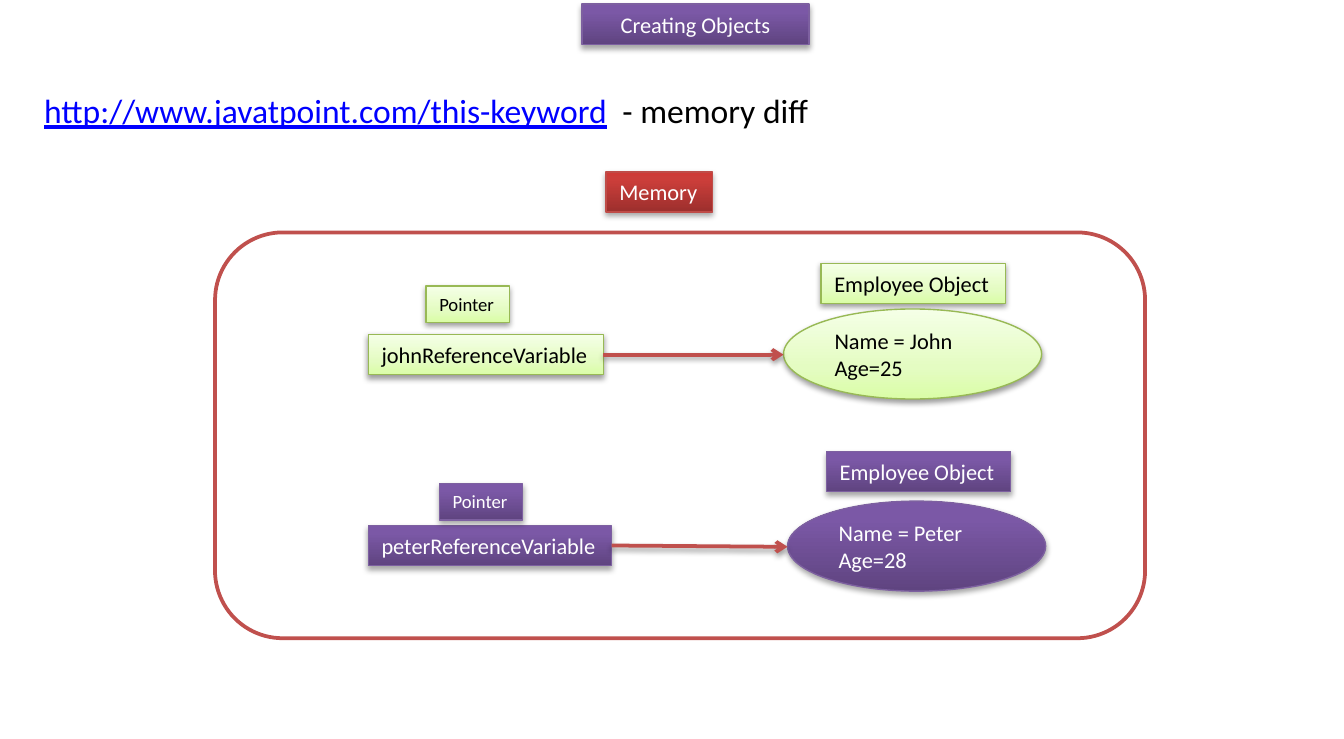
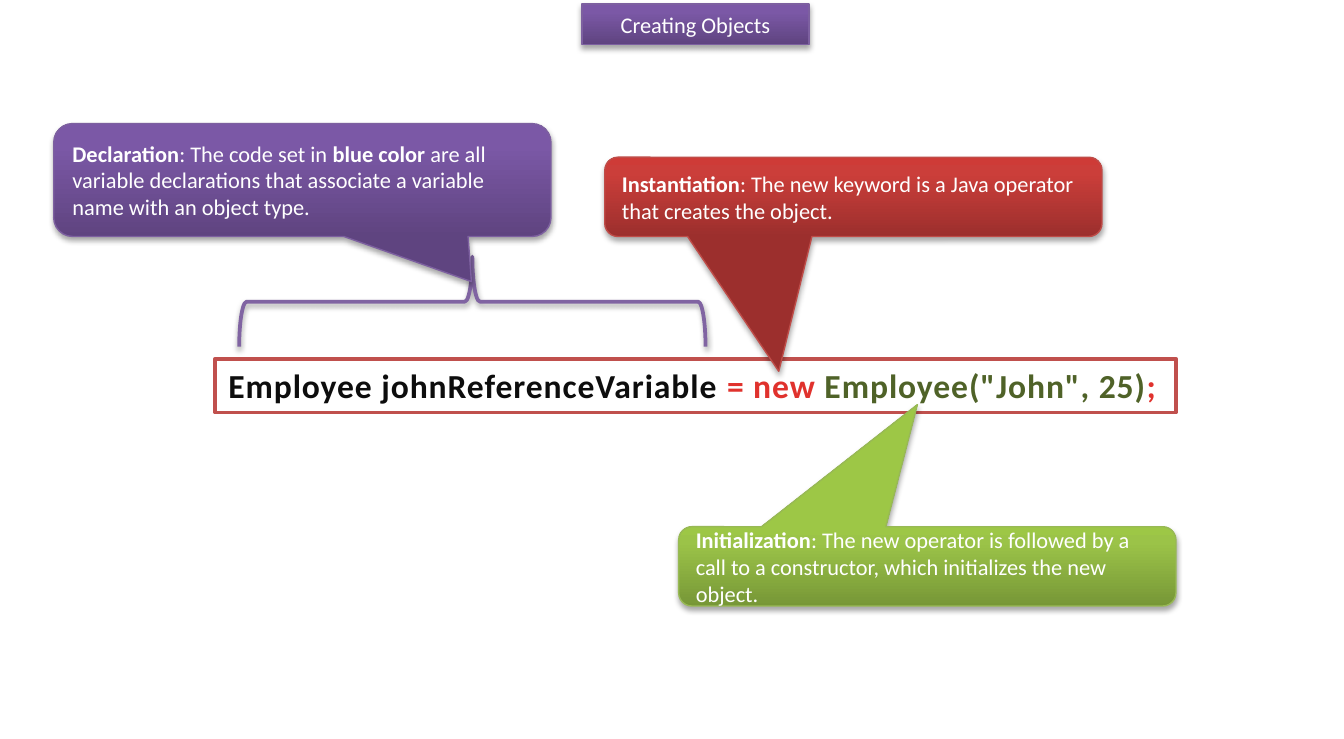
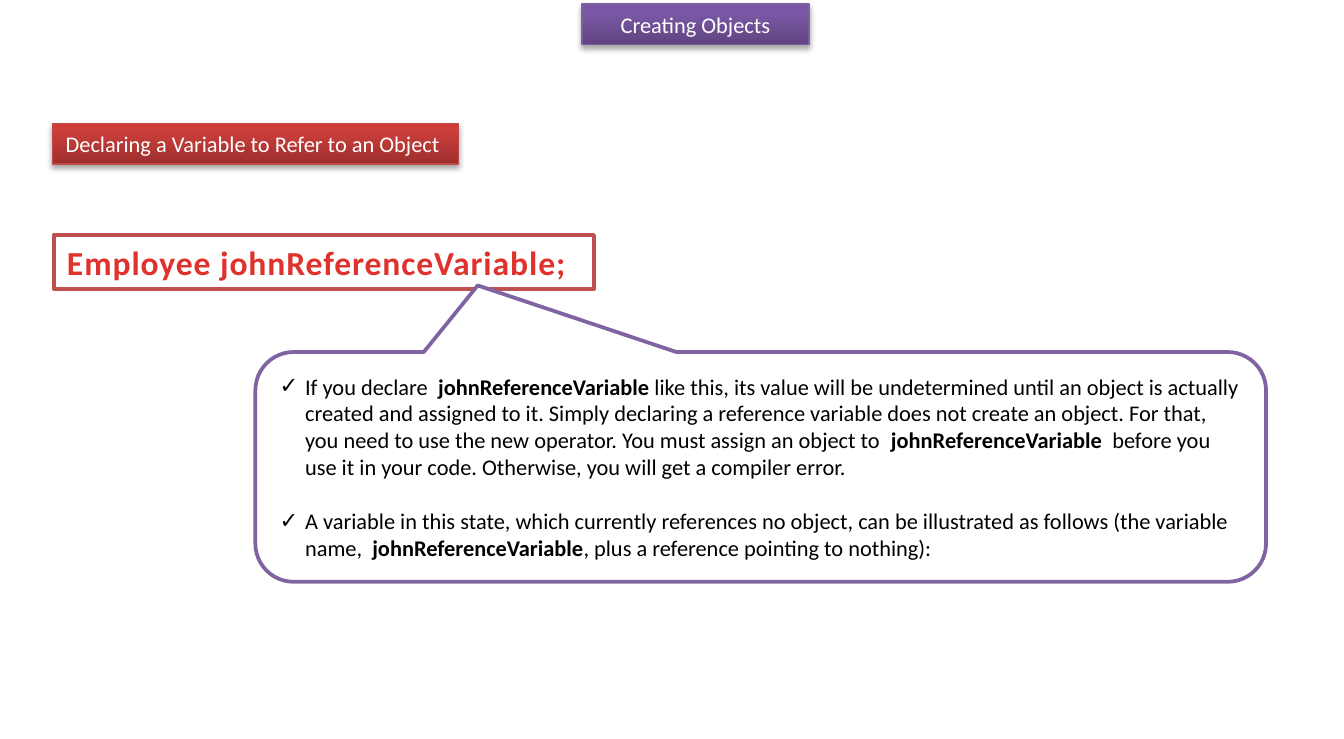
import dataclasses

import lxml.etree
import pptx
import pptx.dml.color
import pptx.enum.shapes
import pptx.enum.text
import pptx.oxml.ns
import pptx.util

Pt = pptx.util.Pt
RGB = pptx.dml.color.RGBColor.from_string
KIND = pptx.enum.shapes.MSO_SHAPE
ANCHOR = pptx.enum.text.MSO_ANCHOR
ALIGN = pptx.enum.text.PP_ALIGN
FIT = pptx.enum.text.MSO_AUTO_SIZE
qn = pptx.oxml.ns.qn


@dataclasses.dataclass(frozen=True)
class Look:
    fill: tuple = ()  # (position in percent, colour) stops, from bottom to top
    line: str = ""
    width: float = 0.75
    ink: str = "000000"
    shadow: tuple = ()  # opacity in percent, blur, distance


@dataclasses.dataclass(frozen=True)
class Theme:
    font = "Calibri"
    small, normal, large = 10, 12, 18
    link, dark, red_ink, olive = "0000FF", "0D0D0D", "E0322D", "4F6228"
    strong, soft = (35, 3.1, 1.8), (38, 3.1, 1.6)
    purple = Look(((0, "5F4480"), (80, "7B58A6"), (100, "7C57A8")), "7D60A0", 0.75, "FFFFFF", strong)
    red = Look(((0, "9C2F2D"), (80, "CB3E3A"), (100, "CE3B37")), "BF4C48", 0.75, "FFFFFF", strong)
    green = Look(((0, "779737"), (80, "9BC348"), (100, "9DC746")), "98B955", 0.75, "FFFFFF", strong)
    pale = Look(((0, "DAFDA7"), (35, "E4FCC2"), (100, "F5FFE7")), "98B955", 0.75, "000000", soft)
    red_frame = Look(((0, "FFFFFF"),), "C0504D", 2)
    purple_frame = Look(((0, "FFFFFF"),), "8064A2", 2)
    brace = Look((), "8064A2", 2, shadow=soft)
    arrow = Look((), "C0504D", 2, shadow=soft)
    plain = Look()


THEME = Theme()

deck = pptx.Presentation()
deck.slide_width, deck.slide_height = pptx.util.Inches(10), pptx.util.Inches(5.5)
COLUMN, ROW = deck.slide_width / 100, deck.slide_height / 55


def dress(shape, look):
    """Give a shape or connector its fill, line and shadow."""
    properties = shape.element.spPr
    if len(look.fill) > 1:
        shape.fill.gradient()
        shape.fill.gradient_angle = 90
        stops = properties.find(qn("a:gradFill")).find(qn("a:gsLst"))
        stops[:] = []
        for position, colour in look.fill:
            stop = lxml.etree.SubElement(stops, qn("a:gs"), pos=str(position * 1000))
            lxml.etree.SubElement(stop, qn("a:srgbClr"), val=colour)
    elif look.fill:
        shape.fill.solid()
        shape.fill.fore_color.rgb = RGB(look.fill[0][1])
    elif hasattr(shape, "fill"):
        shape.fill.background()
    if look.line:
        shape.line.color.rgb = RGB(look.line)
        shape.line.width = Pt(look.width)
    else:
        shape.line.fill.background()
    effects = lxml.etree.SubElement(properties, qn("a:effectLst"))
    if look.shadow:
        opacity, blur, distance = look.shadow
        shadow = lxml.etree.SubElement(
            effects, qn("a:outerShdw"), blurRad=str(Pt(blur)), dist=str(Pt(distance)),
            dir="5400000", rotWithShape="0")
        colour = lxml.etree.SubElement(shadow, qn("a:srgbClr"), val="000000")
        lxml.etree.SubElement(colour, qn("a:alpha"), val=str(opacity * 1000))


def compose(shape, at, look, lines=(), size=THEME.normal, align=ALIGN.LEFT, wrap=False,
            anchor=ANCHOR.TOP, bullet=""):
    """Place a shape at columns and rows, dress it and write its lines of (text, format) spans."""
    left, top, width, height = at
    shape.left, shape.width = int(left * COLUMN), int(width * COLUMN)
    shape.top, shape.height = int(top * ROW), int(height * ROW)
    dress(shape, look)
    frame = shape.text_frame
    frame.word_wrap, frame.vertical_anchor = wrap, anchor
    frame.auto_size = FIT.NONE if wrap else FIT.SHAPE_TO_FIT_TEXT
    for number, spans in enumerate(lines):
        para = frame.paragraphs[0] if number == 0 else frame.add_paragraph()
        gap = Pt(14.6) if bullet and number else Pt(0)
        for name, value in {"alignment": align, "space_before": gap, "line_spacing": 1.0}.items():
            setattr(para, name, value)
        if bullet:
            settings = para._p.get_or_add_pPr()
            settings.set("marL", str(int(1.9 * COLUMN)))
            settings.set("indent", str(int(-1.9 * COLUMN)))
            lxml.etree.SubElement(settings, qn("a:buChar"), char=bullet)
        for text, extra in spans:
            span = para.add_run()
            span.text = text
            style = {"name": THEME.font, "size": Pt(size), "bold": False, **extra}
            span.font.color.rgb = RGB(style.pop("ink", look.ink))
            if style.pop("spaced", False):
                span._r.get_or_add_rPr().set("spc", "50")
            for name, value in style.items():
                setattr(span.font, name, value)
    return shape


# Three pages with the same title band
pages = []
for layout in (5, 5, 1):
    page = deck.slides.add_slide(deck.slide_layouts[layout])
    compose(page.shapes.title, (43.3, 0.3, 16.9, 3), THEME.purple,
            [[("Creating Objects", {})]], align=ALIGN.CENTER, wrap=True)
    pages.append(page)
memory_page, parts_page, declare_page = pages

# Slide 1: memory frame, its label and the web address
shapes = memory_page.shapes
blank = (0, 0, 1, 1)
compose(shapes.add_shape(KIND.ROUNDED_RECTANGLE, *blank), (16, 17.3, 69.2, 30.2),
        THEME.red_frame, wrap=True)
compose(shapes.add_shape(KIND.RECTANGLE, *blank), (45.1, 12.8, 7.9, 3), THEME.red,
        [[("Memory", {})]])
compose(shapes.add_textbox(*blank), (2.3, 6.2, 59.6, 4), THEME.plain,
        [[("http://www.javatpoint.com/this-keyword", {"ink": THEME.link, "underline": True}),
          ("  - memory diff", {})]], size=THEME.large)

# Slide 1: each variable points to its employee
employees = (
    ("John", 25, THEME.pale, (27.4, 24.9, 17.5), (31.7, 21.3), (61.1, 19.6), (58.3, 23), 26.4, 26.4),
    ("Peter", 28, THEME.purple, (27.4, 39.1, 18.1), (32.7, 36), (61.5, 33.6), (58.6, 37.3), 40.6, 40.7),
)
for name, age, look, variable, pointer, heading, data, start, end in employees:
    left, top, width = variable
    labels = (
        (f"{name.lower()}ReferenceVariable", (left, top, width, 3), THEME.normal),
        ("Pointer", (*pointer, 6.2, 2.7), THEME.small),
        ("Employee Object", (*heading, 13.7, 3), THEME.normal),
    )
    for text, at, size in labels:
        compose(shapes.add_shape(KIND.RECTANGLE, *blank), at, look, [[(text, {})]], size=size)
    compose(shapes.add_shape(KIND.OVAL, *blank), (*data, 19.2, 6.7), look,
            [[(f"Name = {name}", {})], [(f"Age={age}", {})]], wrap=True, anchor=ANCHOR.MIDDLE)
    arrow = shapes.add_connector(
        pptx.enum.shapes.MSO_CONNECTOR.STRAIGHT, int((left + width) * COLUMN), int(start * ROW),
        int(data[0] * COLUMN), int(end * ROW))
    dress(arrow, THEME.arrow)
    lxml.etree.SubElement(arrow.line._get_or_add_ln(), qn("a:tailEnd"), type="arrow")

# Slide 2: the statement in coloured parts
shapes = parts_page.shapes
code = {"bold": True, "spaced": True}
compose(shapes.add_shape(KIND.RECTANGLE, *blank), (16, 26.7, 71.5, 4), THEME.red_frame,
        [[("Employee johnReferenceVariable ", {**code, "ink": THEME.dark}),
          ("= new ", {**code, "ink": THEME.red_ink}),
          ('Employee("John", 25)', {**code, "ink": THEME.olive}),
          (";", {**code, "ink": THEME.red_ink})]], size=THEME.large)

# Slide 2: brace over the declaration, and a callout for each part
bold = {"bold": True}
brace = compose(shapes.add_shape(KIND.RIGHT_BRACE, *blank), (31.8, 5.1, 6.7, 34.7),
                THEME.brace, wrap=True)
brace.rotation = 270
callouts = (
    ((4, 9.2, 37, 8.4), THEME.purple, (0.34, 0.9),
     [("Declaration", bold), (": The code set in ", {}), ("blue color", bold),
      (" are all variable declarations that associate a variable name with an object type.", {})]),
    ((45, 11.7, 37, 5.9), THEME.red, (-0.15, 2.2),
     [("Instantiation", bold),
      (": The new keyword is a Java operator that creates the object.", {})]),
    ((50.5, 39.2, 37, 5.9), THEME.green, (-0.02, -2.04),
     [("Initialization", bold),
      (": The new operator is followed by a call to a constructor, which initializes the new object.", {})]),
)
for at, look, tip, spans in callouts:
    callout = compose(shapes.add_shape(KIND.ROUNDED_RECTANGULAR_CALLOUT, *blank), at, look,
                      [spans], wrap=True, anchor=ANCHOR.MIDDLE)
    callout.adjustments[0], callout.adjustments[1] = tip

# Slide 3: heading and declaration
shapes = declare_page.shapes
compose(shapes.add_shape(KIND.RECTANGLE, *blank), (3.9, 9.2, 30.2, 3), THEME.red,
        [[("Declaring a Variable to Refer to an Object", {})]])
compose(shapes.add_shape(KIND.RECTANGLE, *blank), (4, 17.5, 40.2, 4), THEME.red_frame,
        [[("Employee johnReferenceVariable;", {**code, "ink": THEME.red_ink})]],
        size=THEME.large, wrap=True)

# Slide 3: callout with the list in front of it
callout = compose(shapes.add_shape(KIND.ROUNDED_RECTANGULAR_CALLOUT, *blank),
                  (19, 26.2, 75.2, 17.1), THEME.purple_frame, wrap=True)
callout.adjustments[0], callout.adjustments[1] = -0.28, -0.79
notes = [
    [("If you declare  ", {}), ("johnReferenceVariable ", bold),
     ("like this, its value will be undetermined until an object is actually created and assigned "
      "to it. Simply declaring a reference variable does not create an object. For that, you need "
      "to use the new operator. You must assign an object to ", {}),
     (" johnReferenceVariable", bold),
     ("  before you use it in your code. Otherwise, you will get a compiler error.", {})],
    [("A variable in this state, which currently references no object, can be illustrated as "
      "follows (the variable name, ", {}),
     (" johnReferenceVariable", bold),
     (", plus a reference pointing to nothing):", {})],
]
body = compose(declare_page.placeholders[1], (19.8, 26.2, 73.6, 17.1), THEME.plain, notes,
               wrap=True, anchor=ANCHOR.MIDDLE, bullet="✓")
callout.element.addnext(body.element)

deck.save("out.pptx")
